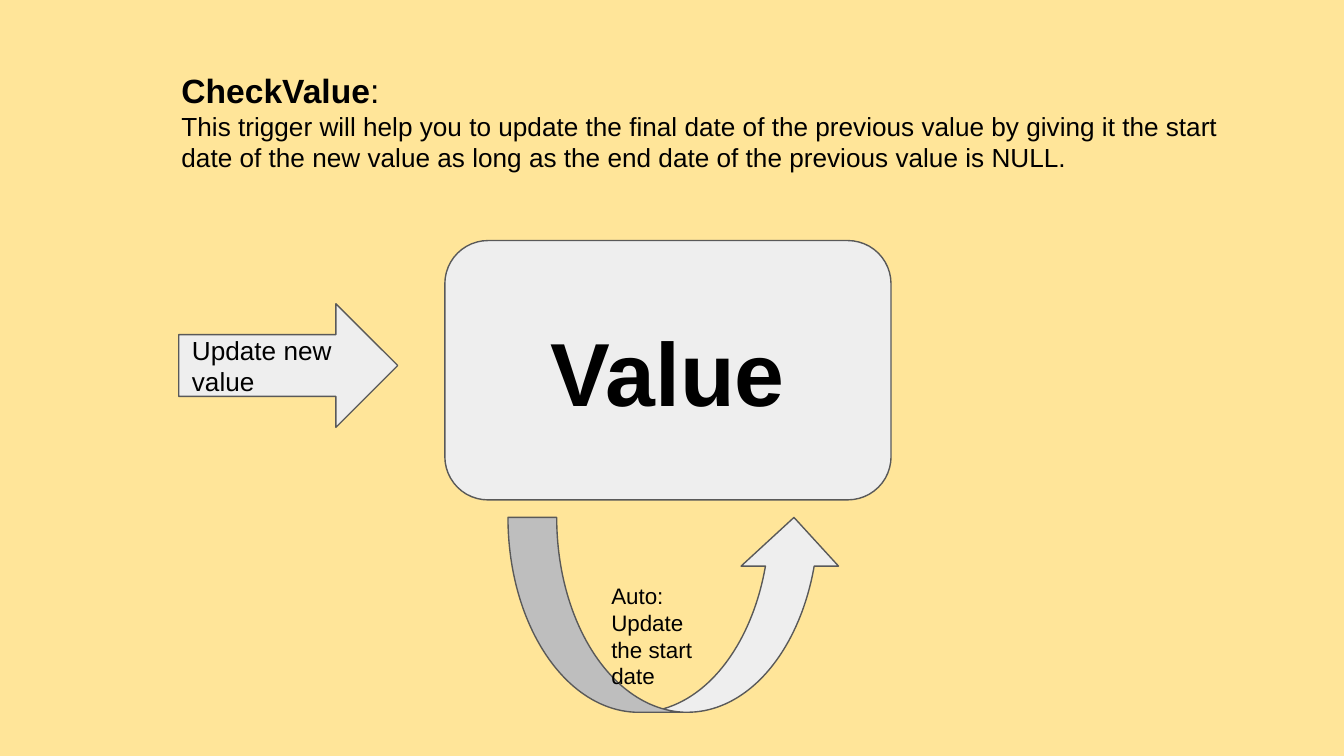
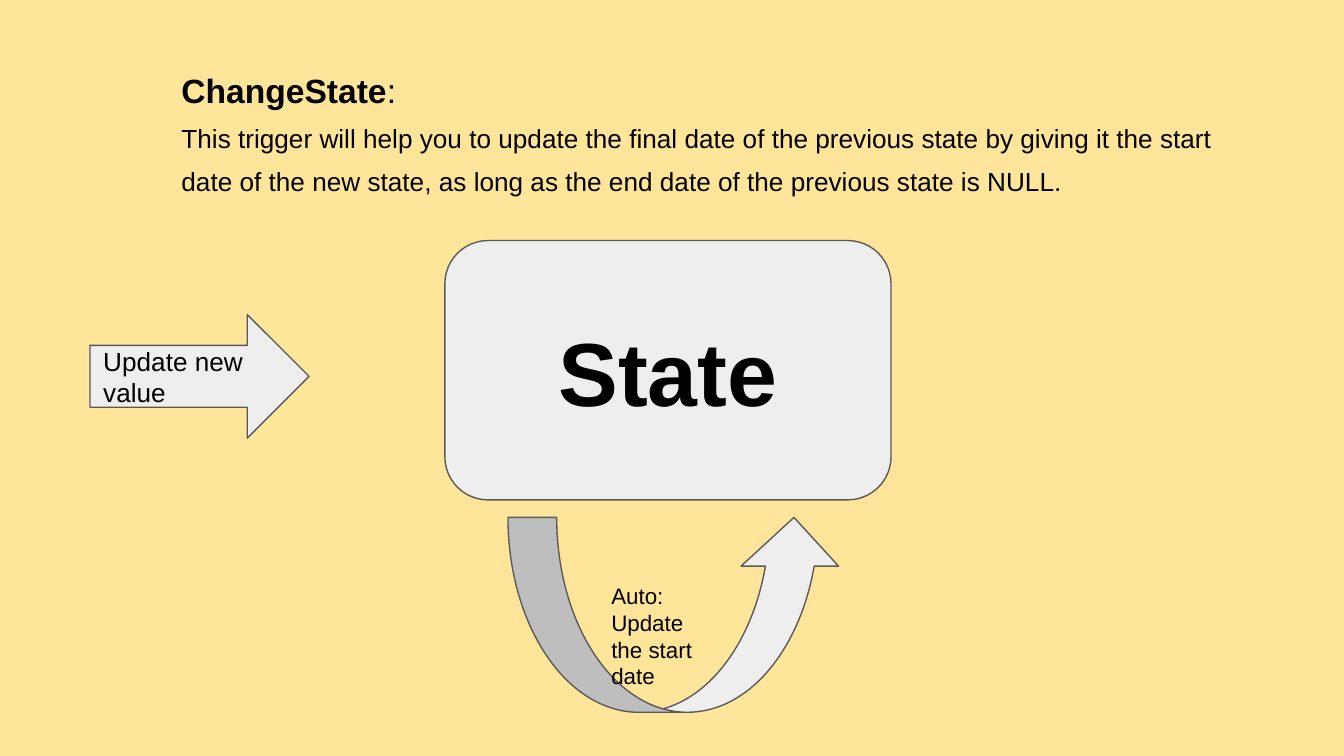
from collections import namedtuple

from pptx import Presentation
from pptx.dml.color import RGBColor
from pptx.enum.shapes import MSO_SHAPE
from pptx.enum.text import MSO_ANCHOR, MSO_AUTO_SIZE, PP_ALIGN
from pptx.util import Inches, Pt

COLORS = {"background": "FFE599", "panel": "EEEEEE", "outline": "595959", "text": "000000"}
FONT = "Arial"
INSET = 0.1
TITLE_ONLY = 5
SLIDE_WIDTH = 10
SLIDE_HEIGHT = SLIDE_WIDTH * 9 / 16

Box = namedtuple("Box", "left top width height")
Trigger = namedtuple("Trigger", "name description spacing entity update_box")

HEADING_BOX = Box(1.25, 0.42, 7.94, 1.09)
DIAGRAM_BOX = Box(3.31, 1.79, 3.32, 3.51)

TRIGGERS = [
    Trigger(
        "CheckValue",
        "This trigger will help you to update the final date of the previous value by giving it "
        "the start date of the new value as long as the end date of the previous value is NULL.",
        1.0, "Value", Box(1.33, 2.26, 1.63, 0.92),
    ),
    Trigger(
        "ChangeState",
        "This trigger will help you to update the final date of the previous state by giving it "
        "the start date of the new state, as long as the end date of the previous state is NULL.",
        1.38, "State", Box(0.67, 2.34, 1.63, 0.92),
    ),
]


def color(name):
    """Return the palette colour with the given name."""
    return RGBColor.from_string(COLORS[name])


def lengths(box):
    """Return the sides of a box as lengths."""
    return [Inches(side) for side in box]


def prepare_frame(frame, anchor):
    """Give a text frame the shared insets, wrapping and anchor."""
    frame.word_wrap = True
    frame.auto_size = MSO_AUTO_SIZE.NONE
    frame.vertical_anchor = anchor
    frame.margin_left = frame.margin_right = Inches(INSET)
    frame.margin_top = frame.margin_bottom = Inches(INSET)


def style_paragraph(paragraph, size, bold=None, align=PP_ALIGN.LEFT):
    """Set the alignment and font of a paragraph."""
    paragraph.alignment = align
    paragraph.font.name = FONT
    paragraph.font.size = Pt(size)
    paragraph.font.bold = bold
    paragraph.font.color.rgb = color("text")


def add_panel(slide, preset, box):
    """Add a grey outlined shape."""
    panel = slide.shapes.add_shape(preset, *lengths(box))
    panel.shadow.inherit = False
    panel.fill.solid()
    panel.fill.fore_color.rgb = color("panel")
    panel.line.color.rgb = color("outline")
    panel.line.width = Pt(0.75)
    prepare_frame(panel.text_frame, MSO_ANCHOR.MIDDLE)
    return panel


def add_heading(slide, box, trigger):
    """Fill the title with the trigger's name and description."""
    title = slide.shapes.title
    title.left, title.top, title.width, title.height = lengths(box)
    frame = title.text_frame
    prepare_frame(frame, MSO_ANCHOR.TOP)
    name_line = frame.paragraphs[0]
    for text, bold in ((trigger.name, True), (":", False)):
        run = name_line.add_run()
        run.text = text
        run.font.bold = bold
    style_paragraph(name_line, 18)
    description = frame.add_paragraph()
    description.text = trigger.description
    description.line_spacing = trigger.spacing
    style_paragraph(description, 14, False)


def add_diagram(slide, box, entity):
    """Draw the entity with the automatic update looping below it."""
    left, top, width, height = box
    entity_panel = add_panel(slide, MSO_SHAPE.ROUNDED_RECTANGLE, Box(left, top, width, 1.93))
    entity_panel.text_frame.text = entity
    style_paragraph(entity_panel.text_frame.paragraphs[0], 48, True, PP_ALIGN.CENTER)

    loop_height = 1.45
    loop_top = top + height - loop_height
    loop = add_panel(slide, MSO_SHAPE.CURVED_UP_ARROW, Box(left + 0.47, loop_top, 2.49, loop_height))
    for index, ratio in enumerate((0.25, 0.5, 0.25)):
        loop.adjustments[index] = ratio

    auto_box = Box(left + 1.14, loop_top + 0.38, 0.83, 0.69)
    auto_frame = slide.shapes.add_textbox(*lengths(auto_box)).text_frame
    prepare_frame(auto_frame, MSO_ANCHOR.TOP)
    auto_frame.text = "Auto:\nUpdate the start date"
    for paragraph in auto_frame.paragraphs:
        style_paragraph(paragraph, 12)


def add_update_arrow(slide, box):
    """Draw the arrow that brings in a new value."""
    arrow = add_panel(slide, MSO_SHAPE.RIGHT_ARROW, box)
    arrow.text_frame.text = "Update new value"
    style_paragraph(arrow.text_frame.paragraphs[0], 14)


def add_trigger_slide(presentation, trigger):
    """Add one slide that explains a trigger."""
    slide = presentation.slides.add_slide(presentation.slide_layouts[TITLE_ONLY])
    add_heading(slide, HEADING_BOX, trigger)
    add_diagram(slide, DIAGRAM_BOX, trigger.entity)
    add_update_arrow(slide, trigger.update_box)


def main():
    """Build and save the presentation."""
    presentation = Presentation()
    presentation.slide_width = Inches(SLIDE_WIDTH)
    presentation.slide_height = Inches(SLIDE_HEIGHT)
    background = presentation.slide_master.background.fill
    background.solid()
    background.fore_color.rgb = color("background")
    for trigger in TRIGGERS:
        add_trigger_slide(presentation, trigger)
    presentation.save("out.pptx")


if __name__ == "__main__":
    main()
